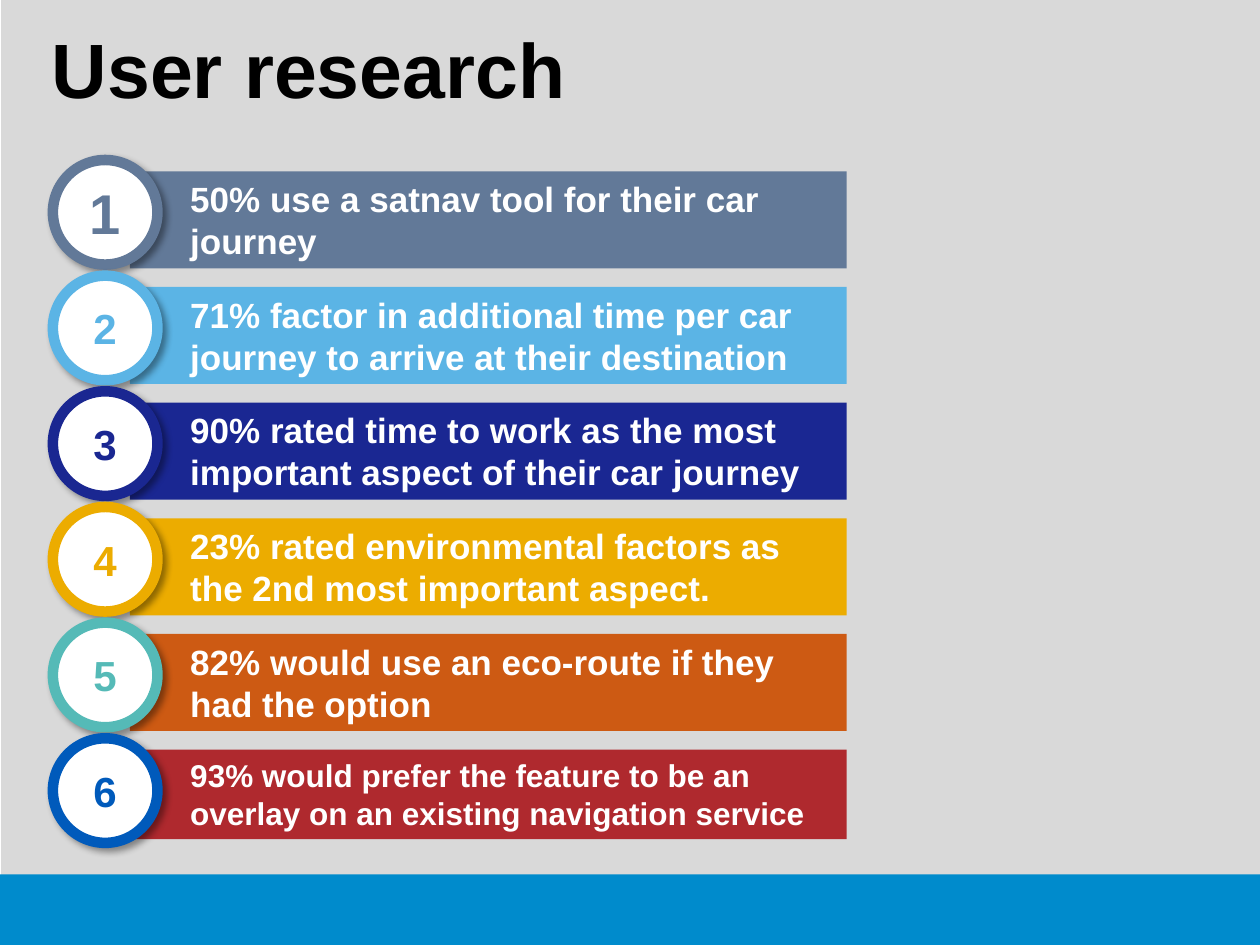
from dataclasses import dataclass

from lxml import etree
from pptx import Presentation
from pptx.dml.color import RGBColor
from pptx.enum.shapes import MSO_SHAPE
from pptx.enum.text import MSO_ANCHOR, MSO_AUTO_SIZE, PP_ALIGN
from pptx.oxml.ns import qn
from pptx.util import Inches, Pt

RECT, OVAL = MSO_SHAPE.RECTANGLE, MSO_SHAPE.OVAL
TOP, MIDDLE = MSO_ANCHOR.TOP, MSO_ANCHOR.MIDDLE
LEFT, CENTER = PP_ALIGN.LEFT, PP_ALIGN.CENTER
FIT_SHAPE, NO_FIT = MSO_AUTO_SIZE.SHAPE_TO_FIT_TEXT, MSO_AUTO_SIZE.NONE


@dataclass(frozen=True)
class Theme:
    font: str = "Arial"
    panel: str = "D9D9D9"
    footer: str = "008BCC"
    dark: str = "000000"
    light: str = "FFFFFF"
    title_size: int = 44
    ring_width: int = 6


# Finding, bar colour, badge colour, bar height, text size, number size
FINDINGS = [
    ("50% use a satnav tool for their car journey",
     "627998", "627998", 0.77, 20, 32),
    ("71% factor in additional time per car journey to arrive at their destination",
     "5BB4E5", "5BB4E5", 0.77, 20, 24),
    ("90% rated time to work as the most important aspect of their car journey",
     "1A2792", "1A2791", 0.77, 20, 24),
    ("23% rated environmental factors as the 2nd most important aspect.",
     "ECAC00", "ECAC00", 0.77, 20, 24),
    ("82% would use an eco-route if they had the option",
     "CD5A13", "55BAB7", 0.77, 20, 24),
    ("93% would prefer the feature to be an overlay on an existing navigation service",
     "AF292E", "005ABB", 0.71, 18, 24),
]
FIRST_TOP, LAST_TOP = 1.36, 5.95
PITCH = (LAST_TOP - FIRST_TOP) / (len(FINDINGS) - 1)
BADGE_RISE = 0.09


class SlideBuilder:
    def __init__(self, slide, theme):
        self.slide = slide
        self.theme = theme

    def set_text(self, s, text, size, color, anchor, align, insets):
        tf = s.text_frame
        tf.word_wrap = True
        tf.vertical_anchor = anchor
        (tf.margin_left, tf.margin_top,
         tf.margin_right, tf.margin_bottom) = [Inches(v) for v in insets]
        p = tf.paragraphs[0]
        p.alignment = align
        r = p.add_run()
        r.text = text
        r.font.name = self.theme.font
        r.font.size = Pt(size)
        r.font.bold = True
        r.font.color.rgb = RGBColor.from_string(color)

    def block(self, kind, left, top, width, height, fill):
        s = self.slide.shapes.add_shape(
            kind, Inches(left), Inches(top), Inches(width), Inches(height))
        s.fill.solid()
        s.fill.fore_color.rgb = RGBColor.from_string(fill)
        s.line.fill.background()
        s.shadow.inherit = False
        return s

    def title(self, text):
        s = self.slide.shapes.title
        s.left, s.top = Inches(0.39), Inches(-0.12)
        s.width, s.height = Inches(9.24), Inches(1.32)
        self.set_text(s, text, self.theme.title_size, self.theme.dark,
                      MIDDLE, LEFT, (0.02,) * 4)
        s.text_frame.auto_size = NO_FIT
        # Bring the title in front of the background blocks
        self.slide.shapes._spTree.append(s._element)

    def bar(self, top, height, text, size, color):
        s = self.block(RECT, 1.03, top, 5.69, height, color)
        self.set_text(s, text, size, self.theme.light,
                      TOP, LEFT, (0.48, 0.05, 0.1, 0.05))
        s.text_frame.auto_size = FIT_SHAPE

    def badge(self, top, number, size, color):
        s = self.block(OVAL, 0.42, top, 0.83, 0.83, self.theme.light)
        s.line.color.rgb = RGBColor.from_string(color)
        s.line.width = Pt(self.theme.ring_width)
        self.drop_shadow(s)
        self.set_text(s, str(number), size, color,
                      MIDDLE, CENTER, (0.1, 0.05, 0.1, 0.05))

    def drop_shadow(self, s):
        effects = s._element.spPr.find(qn("a:effectLst"))
        shadow = etree.SubElement(
            effects, qn("a:outerShdw"), blurRad=str(Pt(4)), dist=str(Pt(3)),
            dir=str(45 * 60000), algn="tl", rotWithShape="0")
        color = etree.SubElement(shadow, qn("a:srgbClr"), val=self.theme.dark)
        etree.SubElement(color, qn("a:alpha"), val="40000")


def main():
    prs = Presentation()
    prs.slide_width, prs.slide_height = Inches(10), Inches(7.5)
    theme = Theme()
    builder = SlideBuilder(prs.slides.add_slide(prs.slide_layouts[5]), theme)

    # Grey panel, footer band and title
    builder.block(RECT, 0.01, -0.43, 10, 7.86, theme.panel)
    builder.block(RECT, 0, 6.94, 10, 0.56, theme.footer)
    builder.title("User research")

    # Numbered findings
    for i, (text, bar_color, badge_color, height, size, number_size) in enumerate(FINDINGS):
        top = FIRST_TOP + i * PITCH
        builder.bar(top, height, text, size, bar_color)
        builder.badge(top - BADGE_RISE, i + 1, number_size, badge_color)

    prs.save("out.pptx")


if __name__ == "__main__":
    main()
